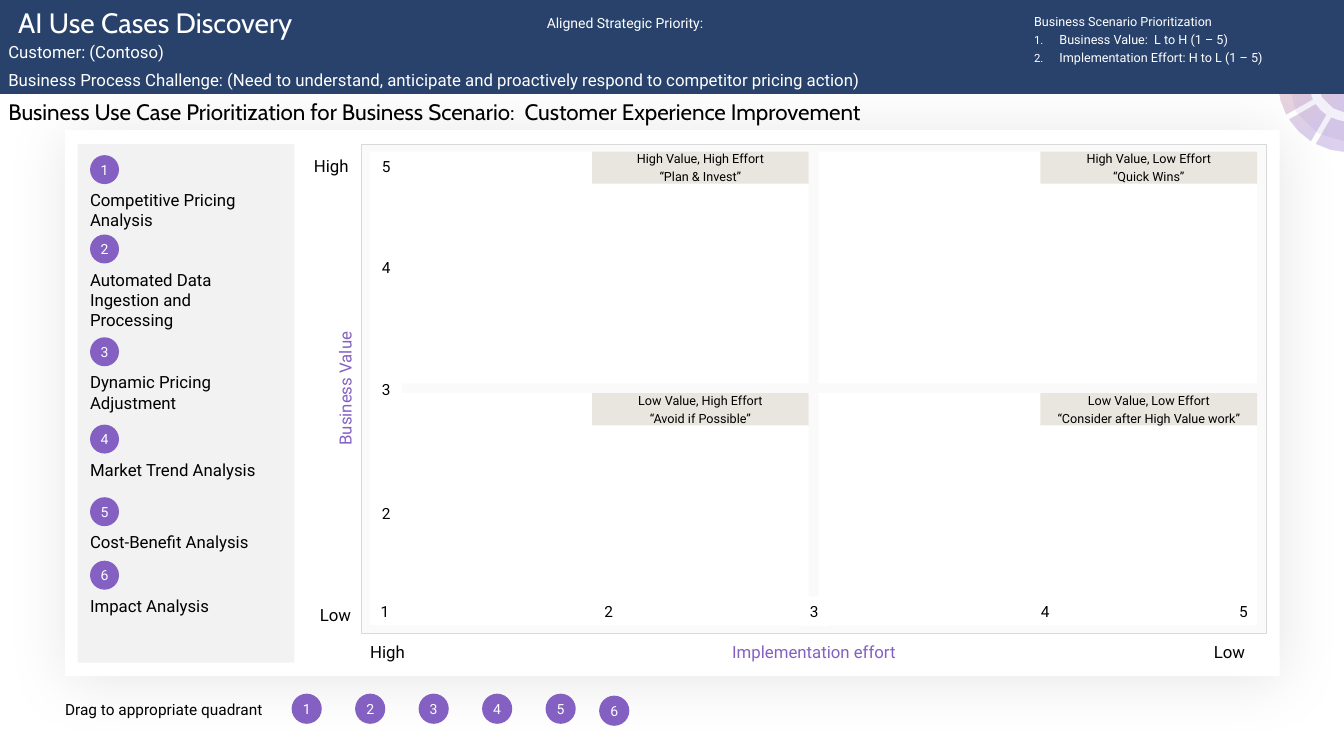
import math

from lxml import etree
from pptx import Presentation
from pptx.dml.color import RGBColor
from pptx.enum.shapes import MSO_SHAPE
from pptx.enum.text import MSO_ANCHOR, MSO_AUTO_SIZE, PP_ALIGN
from pptx.oxml.ns import qn
from pptx.util import Cm, Pt

RECTANGLE, OVAL, DONUT = MSO_SHAPE.RECTANGLE, MSO_SHAPE.OVAL, MSO_SHAPE.DONUT
TOP, MIDDLE = MSO_ANCHOR.TOP, MSO_ANCHOR.MIDDLE
LEFT, CENTER = PP_ALIGN.LEFT, PP_ALIGN.CENTER
NO_AUTOFIT = MSO_AUTO_SIZE.NONE

COLORS = {
    "white": "FFFFFF", "black": "000000", "navy": "28426B", "purple": "8560C3",
    "orange": "FF9248", "lilac": "F3F0F9", "panel": "F2F2F2", "border": "D9D9D9",
    "tag": "E8E6DF",
}
SLIDE_WIDTH, SLIDE_HEIGHT = 33.87, 19.05
TITLE_LAYOUT = 5

USE_CASES = [  # name, top within the sidebar, text height
    ("Competitive Pricing Analysis", 0.28, 1.17),
    ("Automated Data Ingestion and Processing", 2.28, 1.7),
    ("Dynamic Pricing Adjustment", 4.87, 1.17),
    ("Market Trend Analysis", 7.07, 0.66),
    ("Cost-Benefit Analysis", 8.9, 0.66),
    ("Impact Analysis", 10.5, 0.66),
]
QUADRANTS = [  # column, row, label
    (0, 0, ["High Value, High Effort", "“Plan & Invest”"]),
    (1, 0, ["High Value, Low Effort", "“Quick Wins”"]),
    (0, 1, ["Low Value, High Effort", "“Avoid if Possible”"]),
    (1, 1, ["Low Value, Low Effort", "“Consider after High Value work”"]),
]
VALUE_TICKS = {"5": 0, "4": 2.56, "3": 5.63, "2": 8.75}
EFFORT_TICKS = {"1": 0, "2": 5.64, "3": 10.82, "4": 16.64, "5": 21.64}
AXIS_ENDS = [("High", -1.2, 0.28), ("Low", -1.05, 11.59),
             ("High", 0.22, 12.51), ("Low", 21.48, 12.51)]


def color(name):
    return RGBColor.from_string(COLORS[name])


def set_opacity(shape, percents):
    """Give the fill colours of a shape, in order, their opacity."""
    for node, percent in zip(shape.element.spPr.iter(qn("a:srgbClr")), percents):
        etree.SubElement(node, qn("a:alpha"), val=str(percent * 1000))


def fill_with_glow(shape):
    """Fill a shape with the translucent orange to purple gradient."""
    shape.fill.gradient()
    shape.fill.gradient_angle = 304
    for stop, name, position in zip(shape.fill.gradient_stops, ("orange", "purple"), (0.06, 0.77)):
        stop.color.rgb = color(name)
        stop.position = position
    set_opacity(shape, (34, 29))


def write(shape, lines, size=12, font="Roboto", ink="black", align=LEFT,
          anchor=MIDDLE, margins=(0, 0, 0, 0), before=0, after=0):
    frame = shape.text_frame
    left, top, right, bottom = (Cm(margin) for margin in margins)
    frame_format = {"word_wrap": True, "auto_size": NO_AUTOFIT, "vertical_anchor": anchor,
                    "margin_left": left, "margin_top": top,
                    "margin_right": right, "margin_bottom": bottom}
    for name, value in frame_format.items():
        setattr(frame, name, value)
    for index, line in enumerate(lines):
        paragraph = frame.add_paragraph() if index else frame.paragraphs[0]
        paragraph_format = {"alignment": align, "space_after": Pt(after),
                            "space_before": Pt(before if index else 0)}
        for name, value in paragraph_format.items():
            setattr(paragraph, name, value)
        run = paragraph.add_run()
        run.text = line
        for name, value in {"size": Pt(size), "name": font, "bold": False}.items():
            setattr(run.font, name, value)
        run.font.color.rgb = color(ink)


def add_text(slide, box, lines, **text_format):
    shape = slide.shapes.add_textbox(*(Cm(length) for length in box))
    write(shape, lines, **text_format)
    return shape


def add_block(slide, box, fill, kind=RECTANGLE):
    shape = slide.shapes.add_shape(kind, *(Cm(length) for length in box))
    shape.shadow.inherit = False
    shape.fill.solid()
    shape.fill.fore_color.rgb = color(fill)
    shape.line.fill.background()
    return shape


def add_badge(slide, left, top, diameter, number):
    badge = add_block(slide, (left, top, diameter, diameter), "purple", OVAL)
    write(badge, [str(number)], size=10, ink="white", align=CENTER)


def add_wheel(slide, center_x, center_y):
    """Segmented wheel, cut off at the right edge of the slide, and a small ring."""
    def arc(radius, start, end, inset=0.0, steps=2):
        turn = math.degrees(math.asin(inset / radius))
        start, end = start + turn, end - turn
        angles = [math.radians(start + (end - start) * step / steps) for step in range(steps + 1)]
        return [(Cm(min(center_x + radius * math.cos(angle), SLIDE_WIDTH)),
                 Cm(center_y + radius * math.sin(angle))) for angle in angles]

    def outline(contours):
        builder = slide.shapes.build_freeform(*contours[0][0])
        for index, points in enumerate(contours):
            if index:
                builder.move_to(*points[0])
            builder.add_line_segments(points[1:], close=True)
        shape = builder.convert_to_shape()
        shape.shadow.inherit = False
        shape.line.fill.background()
        return shape

    disc = outline([arc(1.5, 90, 270, steps=6)])
    disc.fill.solid()
    disc.fill.fore_color.rgb = color("lilac")

    segments = [arc(1.75, start, start + 30, 0.07) + arc(0.99, start, start + 30, 0.07)[::-1]
                for start in range(90, 270, 30)]
    hub = arc(0.76, 90, 270, steps=6) + arc(0.33, 90, 270, steps=4)[::-1]
    fill_with_glow(outline(segments + [hub]))
    ring = add_block(slide, (center_x - 2.82, center_y + 1.42, 1.07, 1.07), "lilac", DONUT)
    fill_with_glow(ring)


def add_card(slide, box):
    card = add_block(slide, box, "white")
    effects = card.element.spPr.find(qn("a:effectLst"))
    shadow = etree.SubElement(effects, qn("a:outerShdw"), blurRad=str(Pt(46)),
                              dist=str(Pt(3)), dir=str(66 * 60000), rotWithShape="0")
    shade = etree.SubElement(shadow, qn("a:srgbClr"), val=COLORS["black"])
    etree.SubElement(shade, qn("a:alpha"), val="10000")


def add_sidebar(slide, box):
    left, top = box[:2]
    add_block(slide, box, "panel")
    for number, (name, offset, height) in enumerate(USE_CASES, 1):
        add_badge(slide, left + 0.31, top + offset, 0.73, number)
        add_text(slide, (left + 0.31, top + offset + 0.73, 4.47, height), [name],
                 anchor=TOP, margins=(0, 0.15, 0, 0))


def add_matrix(slide, box):
    left, top = box[:2]
    for label, x, y in AXIS_ENDS:
        add_text(slide, (left + x, top + y, 1.09, 0.53), [label], after=2)
    value_title = add_text(slide, (left - 0.67, top + 2.55, 0.51, 7.21), ["Business Value"],
                           ink="purple", align=CENTER, after=2)
    value_title.text_frame._txBody.bodyPr.set("vert", "vert270")
    add_text(slide, (left + 8.52, top + 12.54, 5.77, 0.51), ["Implementation effort"],
             ink="purple", align=CENTER, after=2)

    frame = add_block(slide, box, "panel")
    set_opacity(frame, [33])
    frame.line.color.rgb = color("border")
    frame.line.width = Pt(0.5)

    grid_left, grid_top = left + 0.22, top + 0.18
    width, height, tag_width = 11.05, 5.84, 5.46
    for column, row, label in QUADRANTS:
        x, y = grid_left + column * 11.3, grid_top + row * 6.09
        add_block(slide, (x, y, width, height), "white")
        tag = add_block(slide, (x + width - tag_width, y, tag_width, 0.81), "tag")
        write(tag, label, size=9, align=CENTER, after=2, margins=(0.13, 0.13, 0.13, 0.13))

    ticks = [(mark, grid_left, grid_top + y, 0.81) for mark, y in VALUE_TICKS.items()]
    ticks += [(mark, grid_left + x, top + 11.39, 0.74) for mark, x in EFFORT_TICKS.items()]
    for mark, x, y, tick_width in ticks:
        tick_box = (x, y, tick_width, 0.74)
        tick_format = {"size": 11, "align": CENTER, "after": 2}
        if mark == "3":
            write(add_block(slide, tick_box, "white"), [mark], **tick_format)
        else:
            add_text(slide, tick_box, [mark], **tick_format)


def add_drag_row(slide, left, top):
    add_text(slide, (left, top + 0.15, 5.11, 0.48), ["Drag to appropriate quadrant"], size=11)
    places = [(left + 5.71 + 1.6 * index, top) for index in range(5)]
    places.append((left + 13.46, top + 0.05))
    for number, (x, y) in enumerate(places, 1):
        add_badge(slide, x, y, 0.76, number)


def add_header(slide, box):
    left, top = box[:2]
    add_block(slide, box, "navy")
    add_text(slide, (left + 0.21, top, 12.04, 1.04), ["AI Use Cases Discovery"], size=20,
             font="Cabin", ink="white", anchor=TOP, margins=(0.25, 0.13, 0.25, 0.13))
    add_text(slide, (left + 0.21, top + 1.04, 10.64, 0.51), ["Customer: (Contoso)"], ink="white")
    add_text(slide, (left + 0.21, top + 1.75, 23.5, 0.51),
             ["Business Process Challenge: (Need to understand, anticipate and proactively "
              "respond to competitor pricing action)"], ink="white")
    add_text(slide, (left + 13.78, top + 0.37, 11.63, 1.04), ["Aligned Strategic Priority:"],
             size=10, ink="white", anchor=TOP)
    scoring = add_text(slide, (left + 26.06, top + 0.36, 7.29, 1.8),
                       ["Business Scenario Prioritization", "Business Value:  L to H (1 – 5)",
                        "Implementation Effort: H to L (1 – 5)"],
                       size=9, ink="white", anchor=TOP, before=2)
    for paragraph in scoring.text_frame.paragraphs[1:]:
        properties = paragraph._p.get_or_add_pPr()
        properties.set("marL", str(Cm(0.64)))
        properties.set("indent", str(-Cm(0.64)))
        etree.SubElement(properties, qn("a:buSzPct"), val="90000")
        etree.SubElement(properties, qn("a:buAutoNum"), type="arabicPeriod")


def place_title(slide, box):
    title = slide.shapes.title
    title.left, title.top, title.width, title.height = (Cm(length) for length in box)
    write(title, ["Business Use Case Prioritization for Business Scenario:  "
                  "Customer Experience Improvement"], size=16, font="Cabin", anchor=TOP)


def main():
    presentation = Presentation()
    presentation.slide_width, presentation.slide_height = Cm(SLIDE_WIDTH), Cm(SLIDE_HEIGHT)
    slide = presentation.slides.add_slide(presentation.slide_layouts[TITLE_LAYOUT])
    place_title(slide, (0.21, 2.46, 33.15, 0.69))
    add_wheel(slide, 33.96, 2.06)
    add_card(slide, (1.64, 3.28, 30.61, 13.76))
    add_sidebar(slide, (1.96, 3.63, 5.46, 13.07))
    add_matrix(slide, (9.11, 3.64, 22.81, 12.32))
    add_drag_row(slide, 1.64, 17.48)
    add_header(slide, (0, 0, SLIDE_WIDTH, 2.37))
    presentation.save("out.pptx")


if __name__ == "__main__":
    main()
